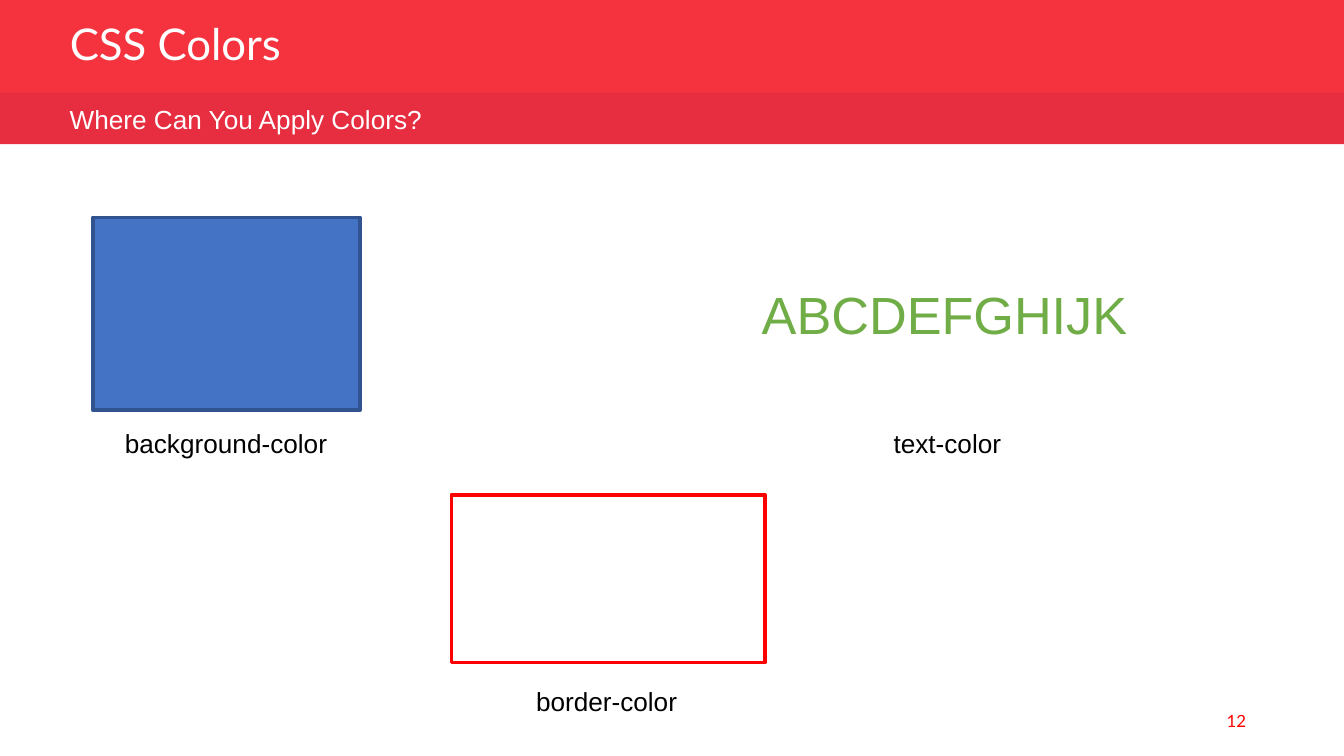
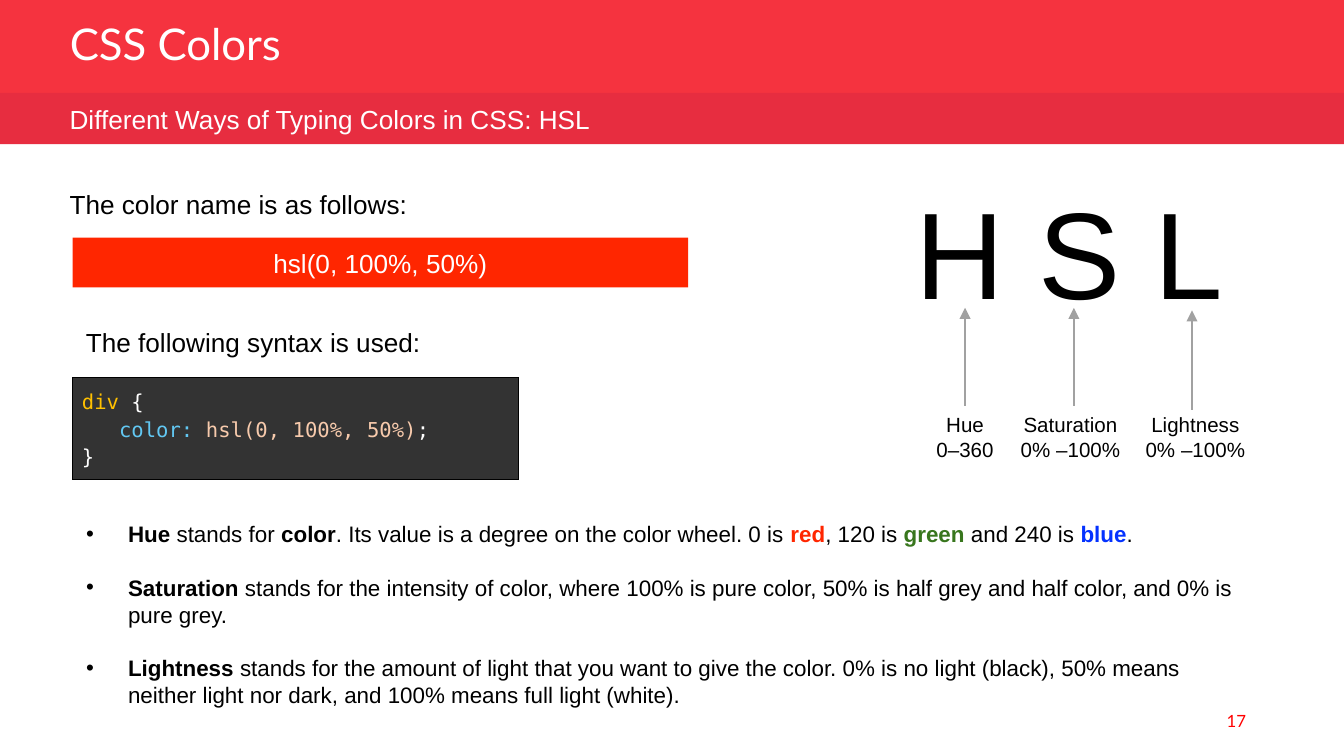
from lxml import etree
from pptx import Presentation
from pptx.dml.color import RGBColor
from pptx.enum.shapes import MSO_CONNECTOR, MSO_SHAPE
from pptx.enum.text import MSO_ANCHOR, MSO_AUTO_SIZE, PP_ALIGN
from pptx.oxml.ns import qn
from pptx.util import Pt

RECTANGLE = MSO_SHAPE.RECTANGLE
STRAIGHT = MSO_CONNECTOR.STRAIGHT
LEFT, CENTER, RIGHT = PP_ALIGN.LEFT, PP_ALIGN.CENTER, PP_ALIGN.RIGHT
TOP, MIDDLE = MSO_ANCHOR.TOP, MSO_ANCHOR.MIDDLE
NO_AUTOFIT = MSO_AUTO_SIZE.NONE

COLORS = {
    "band": "F5333F",
    "subtitle band": "E72D40",
    "white": "FFFFFF",
    "black": "000000",
    "page number": "FF0000",
    "blue box": "4472C4",
    "blue edge": "31538F",
    "green letters": "70AD47",
    "hsl red": "FF2600",
    "hsl green": "38761D",
    "hsl blue": "0432FF",
    "arrow": "A1A1A1",
    "code background": "333333",
    "selector": "FFC000",
    "property": "62C8F3",
    "value": "F7CAAC",
}


def add_rectangle(slide, box, fill, line=None):
    shape = slide.shapes.add_shape(RECTANGLE, *map(Pt, box))
    shape.shadow.inherit = False
    shape.fill.solid()
    shape.fill.fore_color.rgb = RGBColor.from_string(COLORS[fill])
    if line:
        shape.line.color.rgb = RGBColor.from_string(COLORS[line])
        shape.line.width = Pt(2)
    else:
        shape.line.fill.background()
    return shape


def write(slide, text, box=None, shape=None, size=14, color="black", font="Arial",
          align=LEFT, anchor=TOP, spacing=None, gap=0, wrap=True):
    if shape is None:
        shape = slide.shapes.add_textbox(*map(Pt, box))
    elif box:
        shape.left, shape.top, shape.width, shape.height = map(Pt, box)
    frame = shape.text_frame
    frame.auto_size = NO_AUTOFIT
    frame.word_wrap = wrap
    frame.vertical_anchor = anchor
    paragraphs = [[(text, color, False)]] if isinstance(text, str) else text
    for index, runs in enumerate(paragraphs):
        paragraph = frame.add_paragraph() if index else frame.paragraphs[0]
        paragraph.alignment = align
        paragraph.space_before = Pt(gap if index else 0)
        if spacing:
            paragraph.line_spacing = spacing
        for words, run_color, bold in runs:
            run = paragraph.add_run()
            run.text = words
            run.font.name = font
            run.font.size = Pt(size)
            run.font.bold = bold
            run.font.color.rgb = RGBColor.from_string(COLORS[run_color])
    return shape


presentation = Presentation()
presentation.slide_width = Pt(720)
presentation.slide_height = Pt(405)
layouts = presentation.slide_layouts

headings = [
    (layouts[5], "Where Can You Apply Colors?", "12"),
    (layouts[1], "Different Ways of Typing Colors in CSS: HSL", "17"),
]
for layout, subtitle, number in headings:
    slide = presentation.slides.add_slide(layout)
    write(slide, "CSS Colors", (30.2, 10, 337.7, 31.7), slide.shapes.title, size=23.4,
          color="white", font="Lato", anchor=MIDDLE, spacing=0.8)
    add_rectangle(slide, (0, 49.8, 720, 27.4), "subtitle band")
    write(slide, subtitle, (30.2, 51.8, 366.5, 24.5), color="white")
    write(slide, number, (512.6, 375.1, 162, 21.6), size=9, color="page number",
          font="Lato", align=RIGHT, anchor=MIDDLE)

where_slide, hsl_slide = presentation.slides

band = add_rectangle(where_slide, (0, 0, 720, 50.4), "band")
band.element.nvSpPr.cNvPr.set("id", "99")
presentation.slide_master.shapes.element.insert(2, band.element)

add_rectangle(where_slide, (49.7, 116.6, 143.3, 103), "blue box", "blue edge")
add_rectangle(where_slide, (241.9, 265, 167.8, 90), "white", "page number")
write(where_slide, "ABCDEFGHIJK", (401, 147.6, 212.4, 41), size=28, color="green letters")
for caption, left, top, width in [
    ("background-color", 59.8, 225.4, 136.8),
    ("text-color", 471.6, 225.4, 85),
    ("border-color", 280.1, 363.6, 103.7),
]:
    write(where_slide, caption, (left, top, width, 24.5))

write(hsl_slide, "The color name is as follows:", (30.2, 97.2, 221.8, 24.5))
sample = add_rectangle(hsl_slide, (38.9, 127.4, 329.8, 26.6), "hsl red")
write(hsl_slide, "hsl(0, 100%, 50%)", shape=sample, color="white", align=CENTER, anchor=MIDDLE)
write(hsl_slide, "The following syntax is used:", (38.9, 171.4, 260.6, 24.5))

code_table = hsl_slide.shapes.add_table(1, 1, Pt(38.9), Pt(202.3), Pt(239), Pt(54.5)).table
code_cell = code_table.cell(0, 0)
code_cell.margin_left = code_cell.margin_right = Pt(5)
code_cell.margin_top = code_cell.margin_bottom = Pt(5)
write(hsl_slide, [
    [("div", "selector", False), (" {", "white", False)],
    [("   color: ", "property", False), ("hsl(0, 100%, 50%)", "value", False),
     (";", "white", False)],
    [("}", "white", False)],
], shape=code_cell, size=11, font="DejaVu Sans Mono", spacing=1.15)
cell_properties = code_cell._tc.get_or_add_tcPr()
for side in ("lnL", "lnR", "lnT", "lnB"):
    border = etree.SubElement(cell_properties, qn(f"a:{side}"), w=str(Pt(0.75)))
    border_fill = etree.SubElement(border, qn("a:solidFill"))
    etree.SubElement(border_fill, qn("a:srgbClr"), val=COLORS["black"])
code_cell.fill.solid()
code_cell.fill.fore_color.rgb = RGBColor.from_string(COLORS["code background"])

definitions = write(hsl_slide, [
    [("Hue", "black", True), (" stands for ", "black", False), ("color", "black", True),
     (". Its value is a degree on the color wheel. 0 is ", "black", False),
     ("red", "hsl red", True), (", 120 is ", "black", False),
     ("green", "hsl green", True), (" and 240 is ", "black", False),
     ("blue", "hsl blue", True), (".", "black", False)],
    [("Saturation", "black", True),
     (" stands for the intensity of color, where 100% is pure color, 50% is half grey "
      "and half color, and 0% is pure grey.", "black", False)],
    [("Lightness ", "black", True),
     ("stands for the amount of light that you want to give the color. 0% is no light "
      "(black), 50% means neither light nor dark, and 100% means full light (white).",
      "black", False)],
], (38.9, 275, 635.8, 108.7), hsl_slide.placeholders[1], size=12, gap=14.4)
for paragraph in definitions.text_frame.paragraphs:
    properties = paragraph._p.get_or_add_pPr()
    properties.set("marL", str(Pt(22.5)))
    properties.set("indent", str(-Pt(22.5)))
    bullet_color = etree.SubElement(properties, qn("a:buClr"))
    etree.SubElement(bullet_color, qn("a:srgbClr"), val=COLORS["black"])
    etree.SubElement(properties, qn("a:buFont"), typeface="Arial")
    etree.SubElement(properties, qn("a:buChar"), char="•")

write(hsl_slide, "H S L", (483.1, 90.7, 181.4, 87.1), size=66)
for name, limits, left, width, arrow_x, arrow_bottom, arrow_top in [
    ("Hue", "0–360", 492.5, 49, 517, 217.4, 164.9),
    ("Saturation", "0% –100%", 539.3, 68.4, 575.3, 217.4, 164.9),
    ("Lightness", "0% –100%", 606.2, 68.4, 638.6, 219.6, 166.3),
]:
    label = write(hsl_slide, [[(name, "black", False)], [(limits, "black", False)]],
                  (left, 217.4, width, 33.8), size=11, align=CENTER, wrap=False)
    arrow = hsl_slide.shapes.add_connector(
        STRAIGHT, Pt(arrow_x), Pt(arrow_bottom), Pt(arrow_x), Pt(arrow_top))
    if arrow_x == left + width / 2:
        arrow.begin_connect(label, 0)
    arrow.line.color.rgb = RGBColor.from_string(COLORS["arrow"])
    arrow.line.width = Pt(0.75)
    etree.SubElement(arrow.line._get_or_add_ln(), qn("a:tailEnd"), type="triangle")
    etree.SubElement(arrow.element.spPr, qn("a:effectLst"))

presentation.save("out.pptx")
